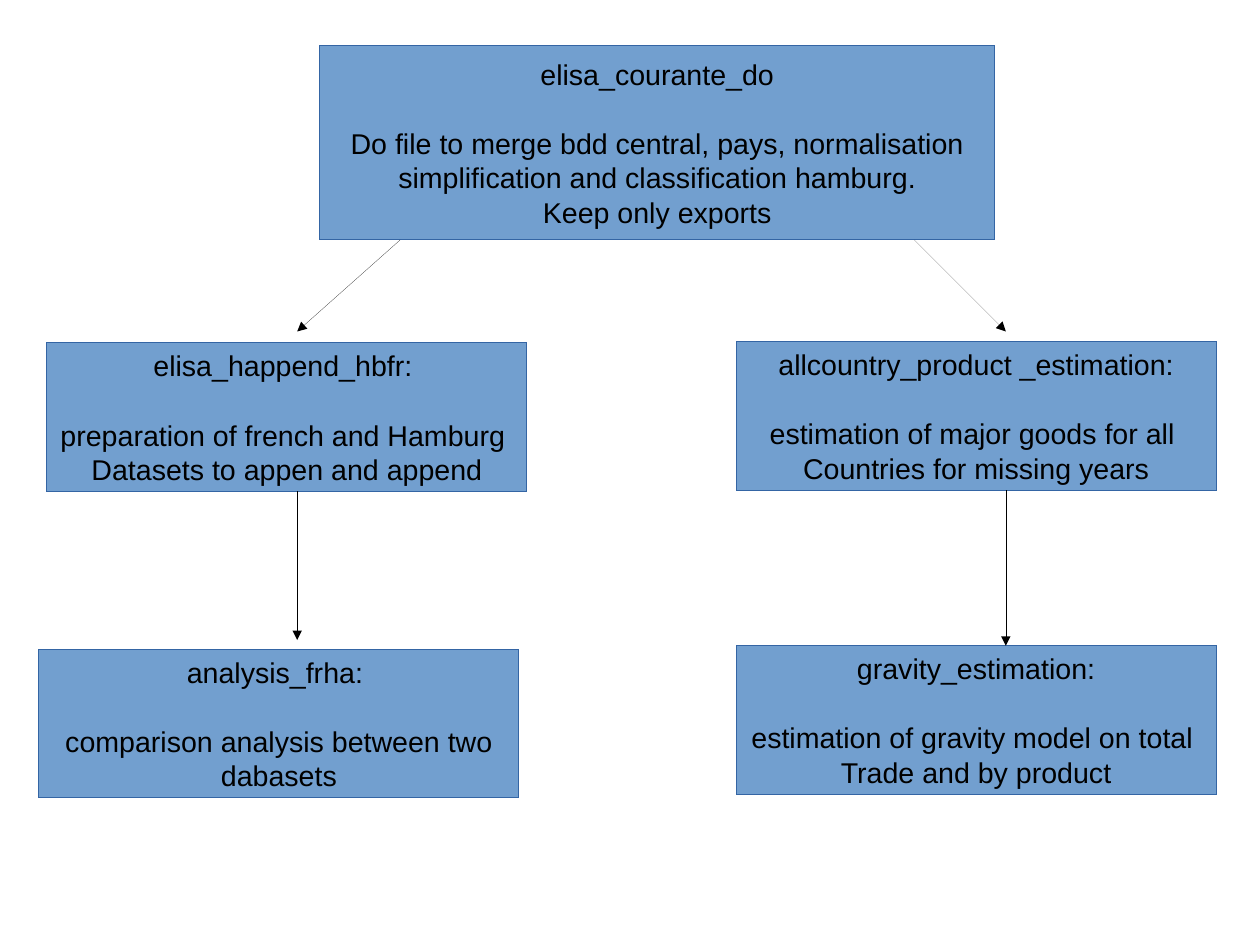
import dataclasses
import lxml.etree
import pptx
import pptx.dml.color
import pptx.enum.shapes
import pptx.enum.text
import pptx.oxml.ns
import pptx.util


@dataclasses.dataclass(frozen=True)
class Theme:
    fill: str = "729FCF"
    edge: str = "3465A4"
    ink: str = "000000"
    font: str = "Arial"
    size: int = 18
    gap: int = 22


THEME = Theme()
CELL = 0.1  # inches per grid column and row
SMALL = (42, 13)

# left, top, size in cells; heading; lines
BOXES = [
    (28, 4, (59, 17), "elisa_courante_do",
     ["Do file to merge bdd central, pays, normalisation",
      " simplification and classification hamburg. ",
      "Keep only exports"]),
    (4.1, 30, SMALL, "elisa_happend_hbfr: ",
     ["preparation of french and Hamburg ", "Datasets to appen and append"]),
    (3.4, 56.8, SMALL, "analysis_frha: ",
     ["comparison analysis between two", "dabasets"]),
    (64.4, 29.9, SMALL, "allcountry_product _estimation:",
     ["estimation of major goods for all ", "Countries for missing years"]),
    (64.4, 56.5, SMALL, "gravity_estimation:",
     ["estimation of gravity model on total ", "Trade and by product"]),
]

# start and end, in cells
ARROWS = [
    ((35, 21), (26, 29)),
    ((26, 43), (26, 56)),
    ((80, 21), (88, 29)),
    ((88, 42.9), (88, 56.5)),
]


def grid(*cells):
    return [pptx.util.Inches(n * CELL) for n in cells]


def color(code):
    return pptx.dml.color.RGBColor.from_string(code)


def draw_line(shape, code):
    """Give the shape a hairline and return its XML element."""
    shape.line.color.rgb = color(code)
    line = shape.element.spPr.find(pptx.oxml.ns.qn("a:ln"))
    line.set("w", "0")
    return line


def add_box(slide, left, top, size, head, lines):
    box = slide.shapes.add_shape(
        pptx.enum.shapes.MSO_SHAPE.RECTANGLE, *grid(left, top, *size))
    box.shadow.inherit = False
    box.fill.solid()
    box.fill.fore_color.rgb = color(THEME.fill)
    draw_line(box, THEME.edge)
    frame = box.text_frame
    frame.word_wrap = False
    frame.vertical_anchor = pptx.enum.text.MSO_ANCHOR.MIDDLE
    frame.text = "\n".join([head, *lines])
    for para in frame.paragraphs:
        para.alignment = pptx.enum.text.PP_ALIGN.CENTER
        para.font.name = THEME.font
        para.font.size = pptx.util.Pt(THEME.size)
        para.font.color.rgb = color(THEME.ink)
    frame.paragraphs[0].space_after = pptx.util.Pt(THEME.gap)


def add_arrow(slide, start, end):
    arrow = slide.shapes.add_connector(
        pptx.enum.shapes.MSO_CONNECTOR.STRAIGHT, *grid(*start, *end))
    name = pptx.oxml.ns.qn
    line = draw_line(arrow, THEME.ink)
    lxml.etree.SubElement(line, name("a:tailEnd"), type="triangle")
    lxml.etree.SubElement(arrow.element.spPr, name("a:effectLst"))


def main():
    deck = pptx.Presentation()
    deck.slide_width = pptx.util.Cm(28)
    deck.slide_height = pptx.util.Cm(21)
    slide = deck.slides.add_slide(deck.slide_layouts[6])
    for box in BOXES:
        add_box(slide, *box)
    for arrow in ARROWS:
        add_arrow(slide, *arrow)
    deck.save("out.pptx")


if __name__ == "__main__":
    main()
